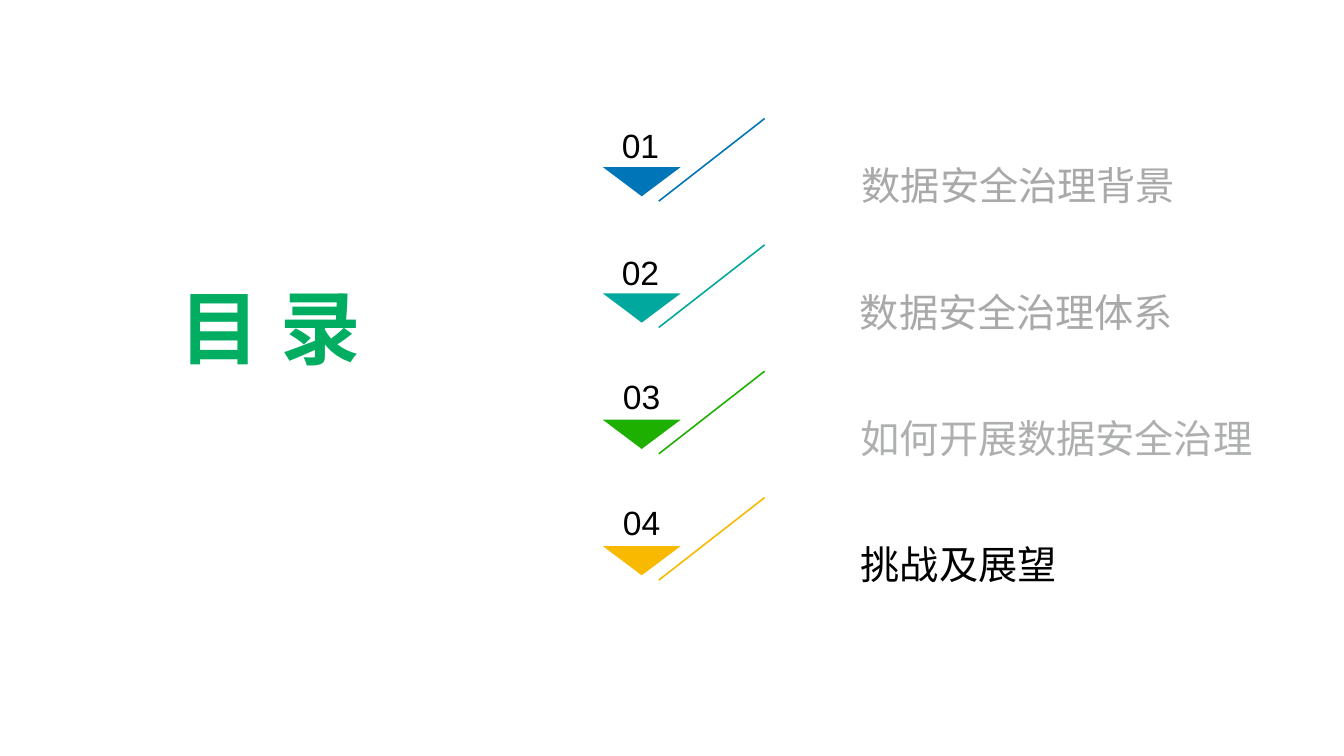
from lxml.etree import SubElement
from pptx import Presentation
from pptx.dml.color import RGBColor
from pptx.enum.text import MSO_ANCHOR as Anchor, MSO_AUTO_SIZE as AutoSize, PP_ALIGN as Align
from pptx.oxml.ns import qn
from pptx.util import Pt

CJK, LATIN = "Noto Sans CJK SC", "Arial"
BLACK, GREY, PALE, GREEN = "000000", "A9A9A9", "AEAFAF", "00AD61"
MARKER_COLORS = ["0076B9", "00A89D", "1DB000", "F8B900"]
MARKER_TOP, ROW_STEP = 84.24, 90.24

# Marker outlines: x on the page, y below the marker's top
TRIANGLE = [(486.2, 35.1), (430.6, 35.1), (458.4, 56)]
SLASH = [(546.5, 0.9), (545.8, 0), (470.2, 59), (470.9, 59.9)]


def color(hex_text):
    return RGBColor.from_string(hex_text)


def place(shape, left, top, width, height):
    shape.left, shape.top = Pt(left), Pt(top)
    shape.width, shape.height = Pt(width), Pt(height)


def prepare_frame(shape):
    frame = shape.text_frame
    frame.margin_left = frame.margin_right = frame.margin_bottom = 0
    frame.margin_top = Pt(0.9)
    frame.vertical_anchor = Anchor.TOP
    frame.word_wrap = True
    frame.auto_size = AutoSize.SHAPE_TO_FIT_TEXT
    return frame


def write(para, text, size, font_name, hex_text, indent=0, before=0,
          spacing=1.0, bold=False, tab=None):
    para.text = text
    para.alignment = Align.LEFT
    para.line_spacing = spacing
    para.space_before = Pt(before)
    para.space_after = Pt(0)

    # Indent, no bullet, tab stop
    props = para._p.get_or_add_pPr()
    props.set("marL", str(Pt(indent)))
    props.set("indent", "0")
    SubElement(props, qn("a:buNone"))
    if tab:
        stops = SubElement(props, qn("a:tabLst"))
        SubElement(stops, qn("a:tab"), pos=str(Pt(tab)), algn="l")

    font = para.font
    font.size, font.bold, font.name = Pt(size), bold, font_name
    font.color.rgb = color(hex_text)
    SubElement(font._element, qn("a:ea"), typeface=font_name)


def add_text(page, box, text, size, font_name, hex_text, **options):
    shape = page.shapes.add_textbox(*map(Pt, box))
    write(prepare_frame(shape).paragraphs[0], text, size, font_name, hex_text, **options)


def add_marker(page, top, hex_text):
    triangle, slash = ([(Pt(x), Pt(top + y)) for x, y in outline]
                       for outline in (TRIANGLE, SLASH))
    builder = page.shapes.build_freeform(*triangle[0])
    builder.add_line_segments(triangle[1:])
    builder.move_to(*slash[0])
    builder.add_line_segments(slash[1:])
    marker = builder.convert_to_shape()
    marker.shadow.inherit = False
    marker.fill.solid()
    marker.fill.fore_color.rgb = color(hex_text)
    marker.line.fill.background()


def main():
    deck = Presentation()
    deck.slide_width, deck.slide_height = Pt(960), Pt(540)
    page = deck.slides.add_slide(deck.slide_layouts[1])

    # First topic, in the title
    title = page.shapes.title
    place(title, 120.2, 114.5, 720, 35.3)
    write(prepare_frame(title).paragraphs[0], "数据安全治理背景", 28, CJK, GREY,
          indent=495.4, before=0.9)

    # Second topic
    add_text(page, (614.2, 205.2, 226, 35.3), "数据安全治理体系", 28, CJK, GREY, before=0.9)

    # Markers, and the first two numbers
    for row, hex_text in enumerate(MARKER_COLORS):
        add_marker(page, MARKER_TOP + row * ROW_STEP, hex_text)
    for row, number in enumerate(["01", "02"]):
        add_text(page, (444.2, 88.5 + row * ROW_STEP, 28.8, 31), number, 24, LATIN, BLACK,
                 before=1)

    # Last two numbers and topics, in the body
    body = page.placeholders[1]
    place(body, 64.1, 268.6, 832.3, 151.9)
    frame = prepare_frame(body)
    topics = [("03", "如何开展数据安全治理", PALE, 1), ("04", "挑战及展望", BLACK, 30.2)]
    for row, (number, topic, hex_text, before) in enumerate(topics):
        para = frame.add_paragraph() if row else frame.paragraphs[0]
        write(para, number, 24, LATIN, BLACK, indent=380.9, before=before, spacing=Pt(27.6))
        write(frame.add_paragraph(), topic, 28, CJK, hex_text, indent=550.8,
              spacing=Pt(32.4))

    # Heading
    add_text(page, (128.2, 198, 149, 71.3), "目\t录", 57.5, CJK, GREEN,
             before=1, bold=True, tab=90.7)

    deck.save("out.pptx")


if __name__ == "__main__":
    main()
